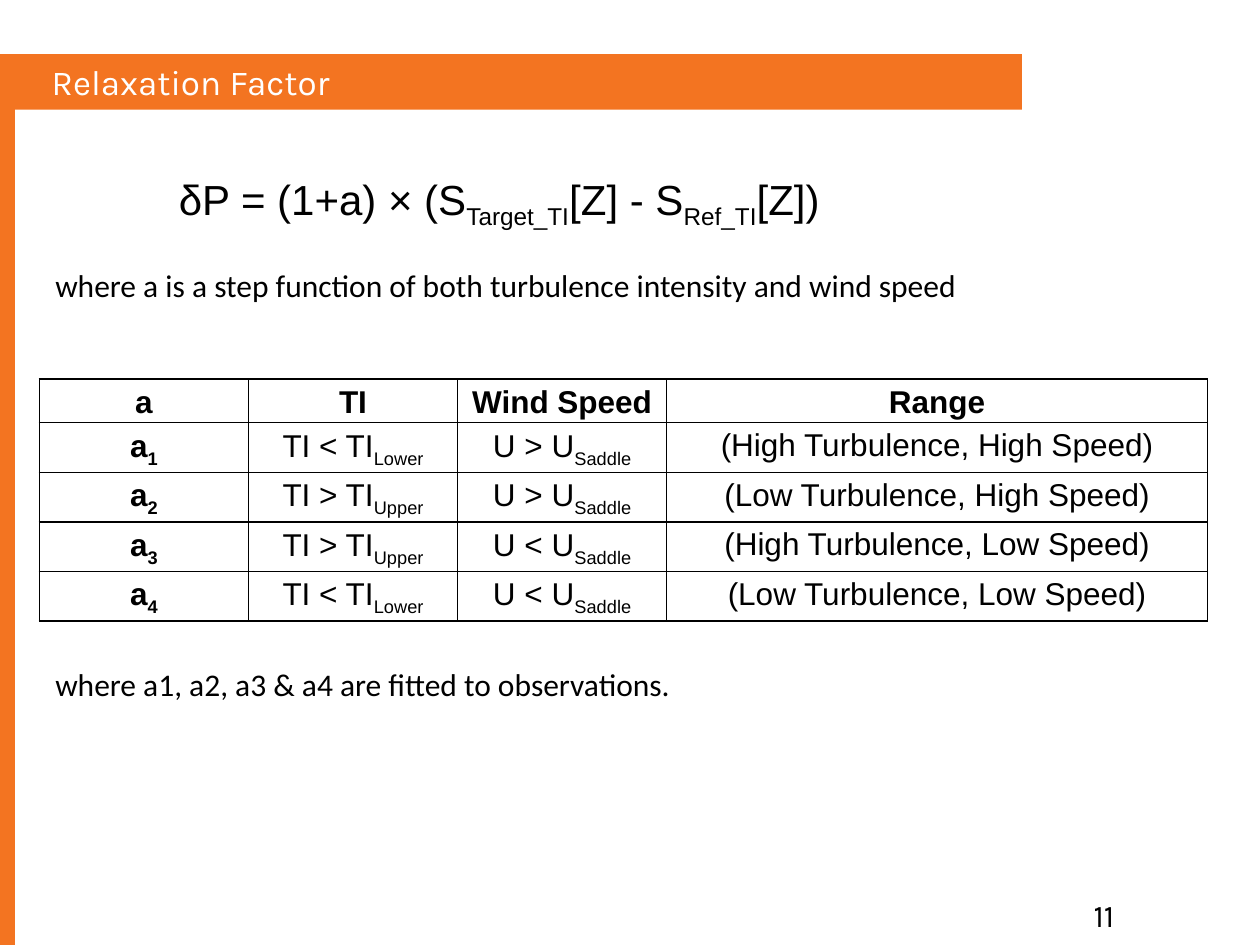
"""Build the Relaxation Factor slide with its formula and step-function table."""
from lxml import etree
from pptx import Presentation
from pptx.dml.color import RGBColor
from pptx.enum import shapes, text
from pptx.oxml import ns
from pptx.util import Pt


def rgb(value):
    return RGBColor.from_string(value)


def add_runs(p, parts, size, font, color="000000", bold=False):
    """Add the parts as runs, every second one a subscript."""
    for i, part in enumerate(parts):
        r = p.add_run()
        r.text = part
        r.font.size, r.font.name, r.font.bold = Pt(size), font, bold
        r.font.color.rgb = rgb(color)
        if i % 2:
            r._r.get_or_add_rPr().set("baseline", "-25000")


prs = Presentation()
prs.slide_width, prs.slide_height = Pt(720), Pt(540)
s = prs.slides.add_slide(prs.slide_layouts[5])

title = s.shapes.title
title.left, title.top, title.width, title.height = Pt(22.3), Pt(33.8), Pt(435.6), Pt(25.2)
tf = title.text_frame
tf.auto_size = text.MSO_AUTO_SIZE.NONE
tf.vertical_anchor = text.MSO_ANCHOR.MIDDLE
tf.paragraphs[0].alignment = text.PP_ALIGN.LEFT
add_runs(tf.paragraphs[0], ["Relaxation Factor"], 20, "Karla", "FFFFFF")

for top, width, height in [(31, 584, 31.7), (57.6, 8.6, 482.4)]:
    bar = s.shapes.add_shape(shapes.MSO_SHAPE.RECTANGLE, Pt(0), Pt(top), Pt(width), Pt(height))
    bar.shadow.inherit = False
    bar.fill.solid()
    bar.fill.fore_color.rgb = rgb("F37421")
    bar.line.fill.background()
    title.element.addprevious(bar.element)

formula = s.shapes.add_textbox(Pt(23), Pt(67.7), Pt(684), Pt(123.8))
tf = formula.text_frame
tf.word_wrap = True
tf.margin_left, tf.margin_top = Pt(79.2), Pt(31.2)
add_runs(tf.paragraphs[0], ["δP = (1+a) × (S", "Target_TI", "[Z] - S", "Ref_TI", "[Z])"], 24, "Arial")

header = ["a", "TI", "Wind Speed", "Range"]
steps = [
    ("<", "Lower", ">", "High Turbulence, High Speed"),
    (">", "Upper", ">", "Low Turbulence, High Speed"),
    (">", "Upper", "<", "High Turbulence, Low Speed"),
    ("<", "Lower", "<", "Low Turbulence, Low Speed"),
]
rows = [[[name] for name in header]]
for n, (ti_sign, limit, u_sign, label) in enumerate(steps, 1):
    rows.append([["a", str(n)], [f"TI {ti_sign} TI", limit], [f"U {u_sign} U", "Saddle"], [f"({label})"]])

widths = [119.5, 119.5, 119.5, 309]
heights = [24.8] + [28.3] * len(steps)
frame = s.shapes.add_table(len(rows), len(widths), Pt(22.5), Pt(216.7), Pt(sum(widths)), Pt(sum(heights)))
table = frame.table
for column, width in zip(table.columns, widths):
    column.width = Pt(width)
for i, row in enumerate(rows):
    table.rows[i].height = Pt(heights[i])
    for j, parts in enumerate(row):
        cell = table.cell(i, j)
        cell.margin_left = cell.margin_right = Pt(5)
        cell.margin_top = cell.margin_bottom = Pt(0)
        p = cell.text_frame.paragraphs[0]
        p.alignment = text.PP_ALIGN.CENTER
        p.line_spacing = 1.15
        add_runs(p, parts, 18, "Arial", bold=i == 0 or j == 0)
        tc_pr = cell._tc.get_or_add_tcPr()
        for side in ("a:lnL", "a:lnR", "a:lnT", "a:lnB"):
            ln = etree.SubElement(tc_pr, ns.qn(side), w=str(Pt(1)))
            fill = etree.SubElement(ln, ns.qn("a:solidFill"))
            etree.SubElement(fill, ns.qn("a:srgbClr"), val="000000")
        cell.fill.background()

notes = [
    (148.3, "where a is a step function of both turbulence intensity and wind speed"),
    (376.6, "where a1, a2, a3 & a4 are fitted to observations."),
]
for top, note in notes:
    tf = s.shapes.add_textbox(Pt(24.5), Pt(top), Pt(620.6), Pt(28.8)).text_frame
    tf.word_wrap = True
    tf.vertical_anchor = text.MSO_ANCHOR.MIDDLE
    tf.paragraphs[0].alignment = text.PP_ALIGN.JUSTIFY
    add_runs(tf.paragraphs[0], [note], 18, "Calibri")

number = s.shapes.add_textbox(Pt(617.8), Pt(508.3), Pt(74.2), Pt(24.5))
number.text_frame.word_wrap = True
add_runs(number.text_frame.paragraphs[0], ["11"], 18, "Karla")

prs.save("out.pptx")
